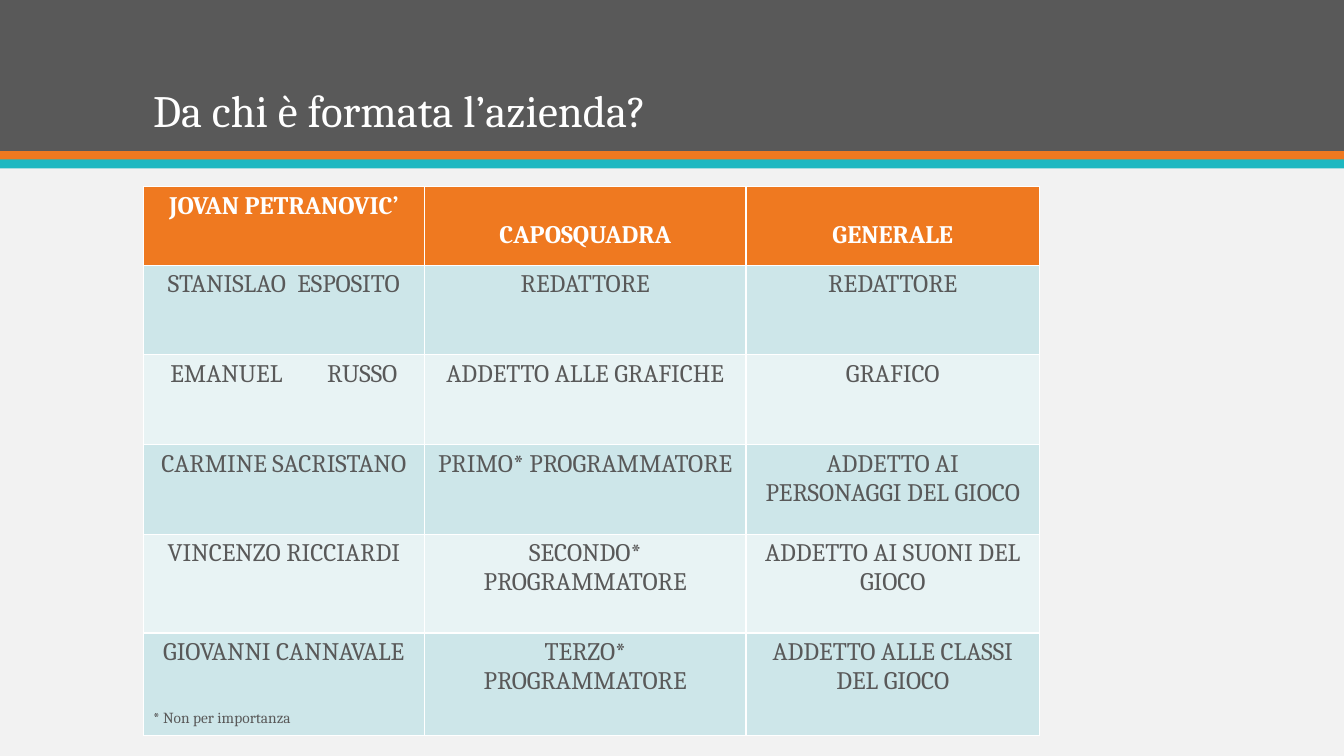
"""Build the slide that lists who makes up the company."""
from pptx import Presentation
from pptx.dml.color import RGBColor as RGB
from pptx.enum.shapes import MSO_SHAPE as SHAPE
from pptx.enum.text import MSO_ANCHOR as ANCHOR, PP_ALIGN as ALIGN
from pptx.util import Inches, Pt

THEME = dict(font="Cambria", title=32, body=18, note=11,
             paper="F2F2F2", grey="595959", orange="EF7920", teal="1EB8C1",
             white="FFFFFF", bands=("E8F3F4", "CDE6E9"))
LEFT = 1.42
COLS = (2.79, 3.19, 2.91)
ROWS = (0.78, 0.89, 0.89, 0.89, 0.98, 1.02)
TEAM = (
    ("JOVAN PETRANOVIC’", "CAPOSQUADRA", "GENERALE"),
    ("STANISLAO ESPOSITO", "REDATTORE", "REDATTORE"),
    ("EMANUEL RUSSO", "ADDETTO ALLE GRAFICHE", "GRAFICO"),
    ("CARMINE SACRISTANO", "PRIMO* PROGRAMMATORE", "ADDETTO AI PERSONAGGI DEL GIOCO"),
    ("VINCENZO RICCIARDI", "SECONDO*\nPROGRAMMATORE", "ADDETTO AI SUONI DEL GIOCO"),
    ("GIOVANNI CANNAVALE", "TERZO*\nPROGRAMMATORE", "ADDETTO ALLE CLASSI DEL GIOCO"),
)
NAME_GAPS = {"STANISLAO ESPOSITO": 4, "EMANUEL RUSSO": 28}


def add_run(p, text, size, color, bold=False):
    """Append a styled run to a paragraph."""
    r = p.add_run()
    r.text = text
    style = dict(name=THEME["font"], size=Pt(THEME[size]), bold=bold)
    for key, value in style.items():
        setattr(r.font, key, value)
    r.font.color.rgb = RGB.from_string(THEME[color])
    return r


def add_label(s, text, box, anchor, size, color):
    """Place a one-line text box on the slide."""
    tf = s.shapes.add_textbox(*map(Inches, box)).text_frame
    tf.word_wrap = True
    tf.vertical_anchor = anchor
    add_run(tf.paragraphs[0], text, size, color)
    return tf


prs = Presentation()
prs.slide_width, prs.slide_height = Inches(13.33), Inches(7.5)
s = prs.slides.add_slide(prs.slide_layouts[6])
s.background.fill.solid()
s.background.fill.fore_color.rgb = RGB.from_string(THEME["paper"])

for top, height, color in ((0, 1.5, "grey"), (1.5, 0.09, "orange"), (1.58, 0.09, "teal")):
    sp = s.shapes.add_shape(SHAPE.RECTANGLE, 0, Inches(top), prs.slide_width, Inches(height))
    sp.shadow.inherit = False
    sp.fill.solid()
    sp.fill.fore_color.rgb = RGB.from_string(THEME[color])
    sp.line.fill.background()

tf = add_label(s, "Da chi è formata l’azienda?", (LEFT, 0.28, 10.5, 1.13),
               ANCHOR.BOTTOM, "title", "white")
tf.paragraphs[0].line_spacing = 0.9

table = s.shapes.add_table(len(ROWS), len(COLS), Inches(LEFT), Inches(1.85),
                           Inches(sum(COLS)), Inches(sum(ROWS))).table
for col, width in zip(table.columns, COLS):
    col.width = Inches(width)
for i, (row, height, entries) in enumerate(zip(table.rows, ROWS, TEAM)):
    row.height = Inches(height)
    header = i == 0
    fill = THEME["orange"] if header else THEME["bands"][i % 2]
    color = "white" if header else "grey"
    for j, (cell, entry) in enumerate(zip(row.cells, entries)):
        cell.fill.solid()
        cell.fill.fore_color.rgb = RGB.from_string(fill)
        tf = cell.text_frame
        for n, line in enumerate(entry.split("\n")):
            p = tf.add_paragraph() if n else tf.paragraphs[0]
            p.alignment = ALIGN.CENTER
            if header and j:
                p.line_spacing = 2.0
            if line in NAME_GAPS:
                first, last = line.split()
                add_run(p, first, "body", color)
                gap = add_run(p, " ", "body", color)
                gap.font._element.set("spc", str(NAME_GAPS[line] * 100))
                add_run(p, last, "body", color)
            else:
                add_run(p, line, "body", color, header)

add_label(s, "* Non per importanza", (LEFT, 6.97, 6.83, 0.3), ANCHOR.MIDDLE, "note", "grey")

prs.save("out.pptx")
